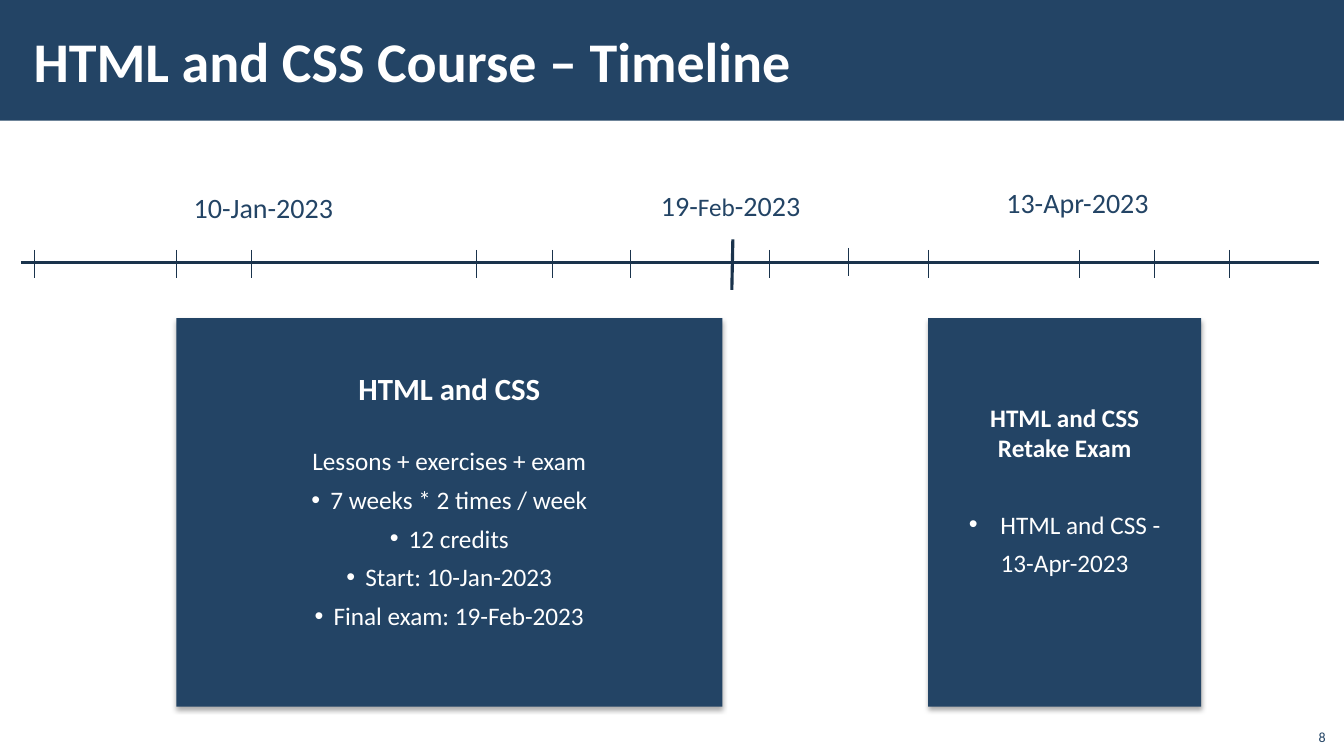
"""Builds the HTML and CSS course timeline slide."""
from lxml.etree import SubElement
from pptx import Presentation
from pptx.dml.color import RGBColor
from pptx.enum.shapes import MSO_CONNECTOR as CONN, MSO_SHAPE as SHAPE
from pptx.enum.text import MSO_ANCHOR as ANCHOR, PP_ALIGN as ALIGN
from pptx.oxml import parse_xml
from pptx.oxml.ns import nsdecls, qn
from pptx.util import Pt

PX = 9525
THEME = {
    "font": "Calibri",
    "navy": RGBColor.from_string("234465"),
    "line": RGBColor.from_string("1A334C"),
    "white": RGBColor.from_string("FFFFFF"),
    "title": 40, "heading": 22, "date": 20, "body": 18, "number": 10,
    "axis": 2.25, "tick": 0.5,
}
SHADOW = (
    f'<a:effectLst {nsdecls("a")}><a:outerShdw blurRad="44450" dist="27940" dir="5400000">'
    '<a:srgbClr val="000000"><a:alpha val="32000"/></a:srgbClr></a:outerShdw></a:effectLst>'
)


def style(p, size, color, bold=False, align=ALIGN.LEFT):
    """Formats a paragraph and all its runs."""
    p.alignment = align
    for r in p.runs:
        r.font.name = THEME["font"]
        r.font.size = Pt(THEME[size])
        r.font.color.rgb = THEME[color]
        r.font.bold = bold


def add_rect(x, y, w, h):
    """Adds a plain navy rectangle."""
    sp = s.shapes.add_shape(SHAPE.RECTANGLE, x * PX, y * PX, w * PX, h * PX)
    sp.shadow.inherit = False
    sp.fill.solid()
    sp.fill.fore_color.rgb = THEME["navy"]
    sp.line.fill.background()
    return sp


prs = Presentation()
prs.slide_width, prs.slide_height = 1280 * PX, 720 * PX
s = prs.slides.add_slide(prs.slide_layouts[6])

add_rect(0, 0, 1280, 115)
title = s.shapes.add_textbox(20 * PX, 11 * PX, 1020 * PX, 93 * PX)
tf = title.text_frame
tf.word_wrap = True
tf.vertical_anchor = ANCHOR.MIDDLE
tf.margin_left = 12 * PX
tf.text = "HTML and CSS Course – Timeline"
style(tf.paragraphs[0], "title", "white", bold=True)

TICKS = [33, 168, 239, 454, 526, 600, 733, 884, 1028, 1099, 1171]
lines = [(20, 250, 1256, 250, "axis"), (698, 228, 697, 276, "axis"), (808, 236, 808, 263, "tick")]
lines += [(x, 238, x, 265, "tick") for x in TICKS]
timeline = s.shapes.add_group_shape()
for x1, y1, x2, y2, weight in lines:
    line = timeline.shapes.add_connector(CONN.STRAIGHT, x1 * PX, y1 * PX, x2 * PX, y2 * PX)
    line.line.color.rgb = THEME["line"]
    line.line.width = Pt(THEME[weight])
    SubElement(line._element.spPr, qn("a:effectLst"))

DATES = [
    (175, 177, ["10-Jan-2023"]),
    (620, 175, ["19-", "Feb", "-2023"]),
    (949, 172, ["13-Apr-2023"]),
]
for x, y, parts in DATES:
    tf = s.shapes.add_textbox(x * PX, y * PX, 155 * PX, 42 * PX).text_frame
    tf.word_wrap = False
    p = tf.paragraphs[0]
    for part in parts:
        p.add_run().text = part
    style(p, "date", "navy")
    if len(parts) > 1:
        p.runs[1].font.size = Pt(THEME["body"])

CARDS = [
    (168, 520, 49, 18, [
        ("HTML and CSS", "heading", 0, False),
        ("Lessons + exercises + exam", "body", 28, False),
        ("7 weeks * 2 times / week", "body", 6, True),
        ("12 credits", "body", 6, True),
        ("Start: 10-Jan-2023", "body", 6, True),
        ("Final exam: 19-Feb-2023", "body", 6, True),
    ]),
    (884, 260, 80, 30, [
        ("HTML and CSS\vRetake Exam", "body", 0, False),
        ("HTML and CSS -", "body", 33, True),
        ("13-Apr-2023", "body", 6, False),
    ]),
]
for x, w, top, indent, rows in CARDS:
    card = add_rect(x, 303, w, 370)
    sp_pr = card._element.spPr
    sp_pr.replace(sp_pr.find(qn("a:effectLst")), parse_xml(SHADOW))
    tf = card.text_frame
    tf.word_wrap = True
    tf.vertical_anchor = ANCHOR.TOP
    tf.margin_top = top * PX
    for i, (text, size, gap, bullet) in enumerate(rows):
        p = tf.add_paragraph() if i else tf.paragraphs[0]
        p.text = text
        p.space_before = Pt(gap)
        style(p, size, "white", bold=i == 0, align=ALIGN.CENTER)
        if bullet:
            p_pr = p._p.get_or_add_pPr()
            p_pr.set("marL", str(indent * PX))
            p_pr.set("indent", str(-indent * PX))
            SubElement(p_pr, qn("a:buFont"), typeface="Arial")
            SubElement(p_pr, qn("a:buChar"), char="•")

number = s.shapes.add_textbox(1234 * PX, 684 * PX, 38 * PX, 31 * PX)
tf = number.text_frame
tf.word_wrap = True
tf.vertical_anchor = ANCHOR.BOTTOM
tf.text = "8"
style(tf.paragraphs[0], "number", "navy", align=ALIGN.RIGHT)

prs.save("out.pptx")
